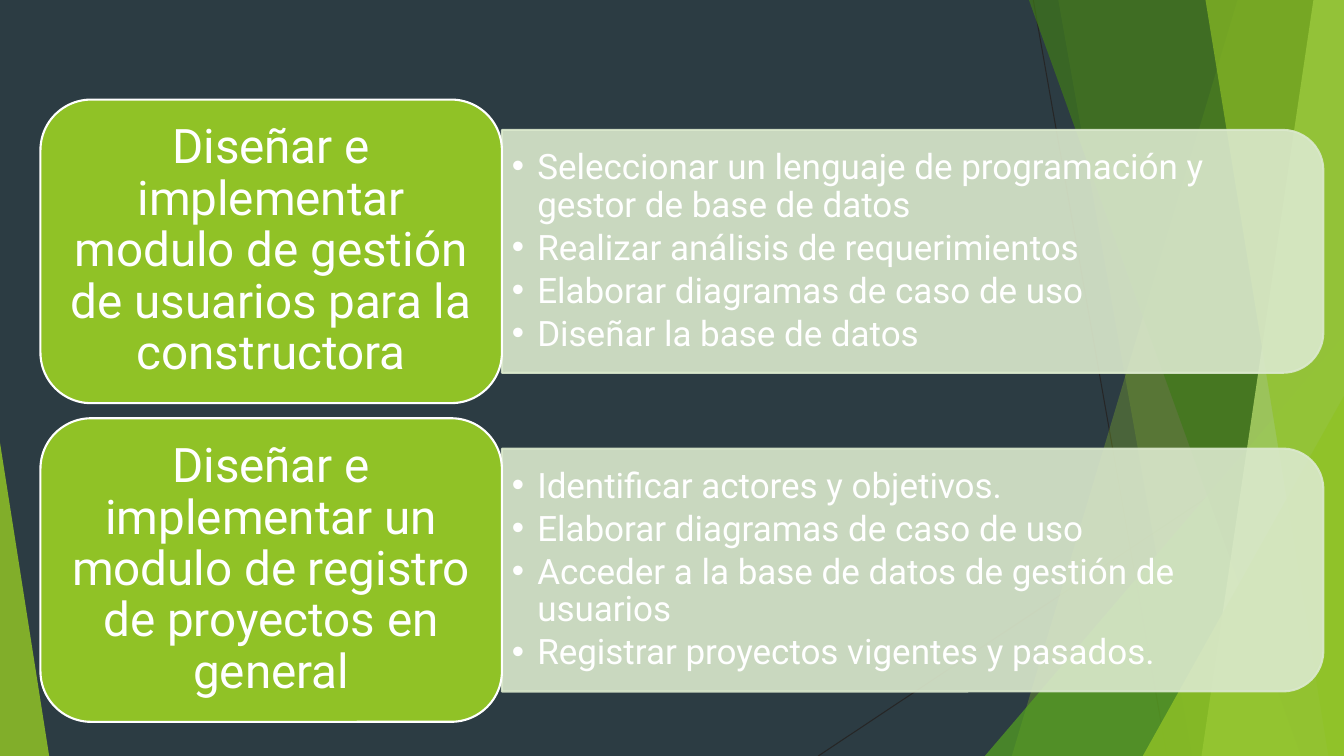
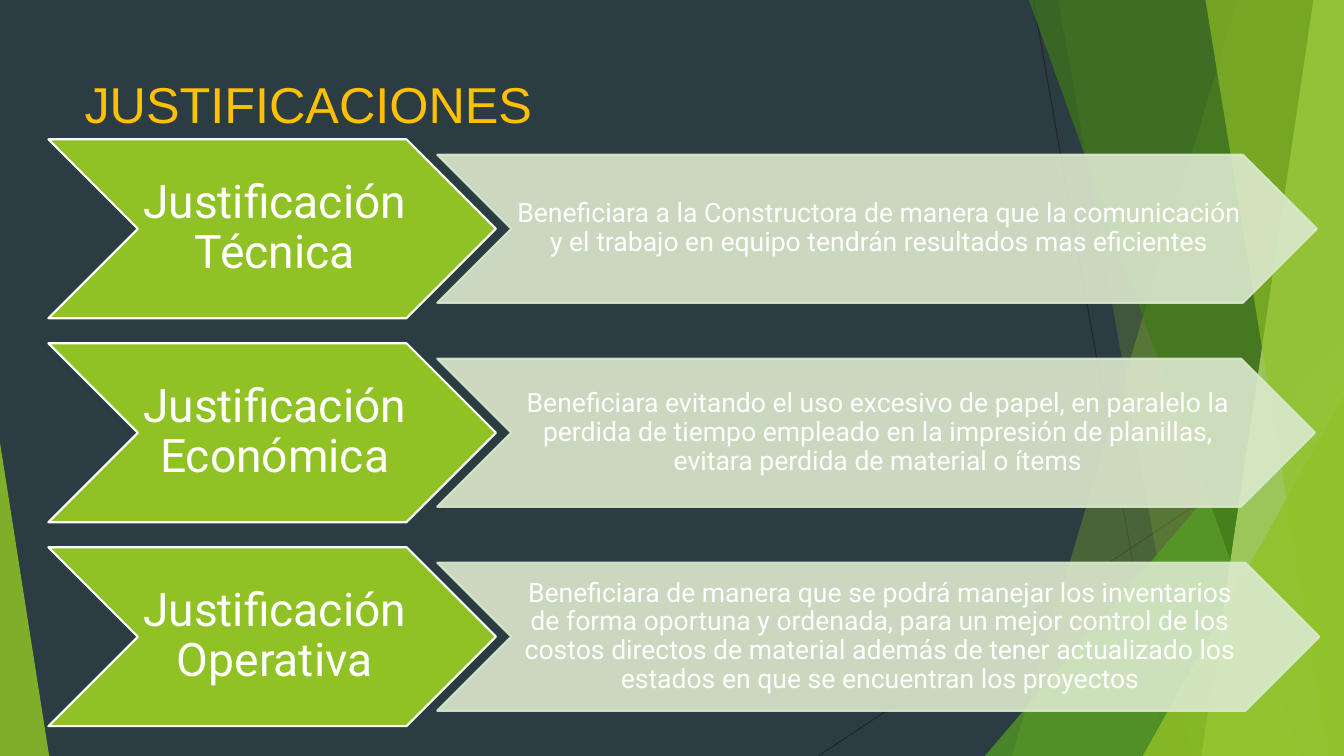
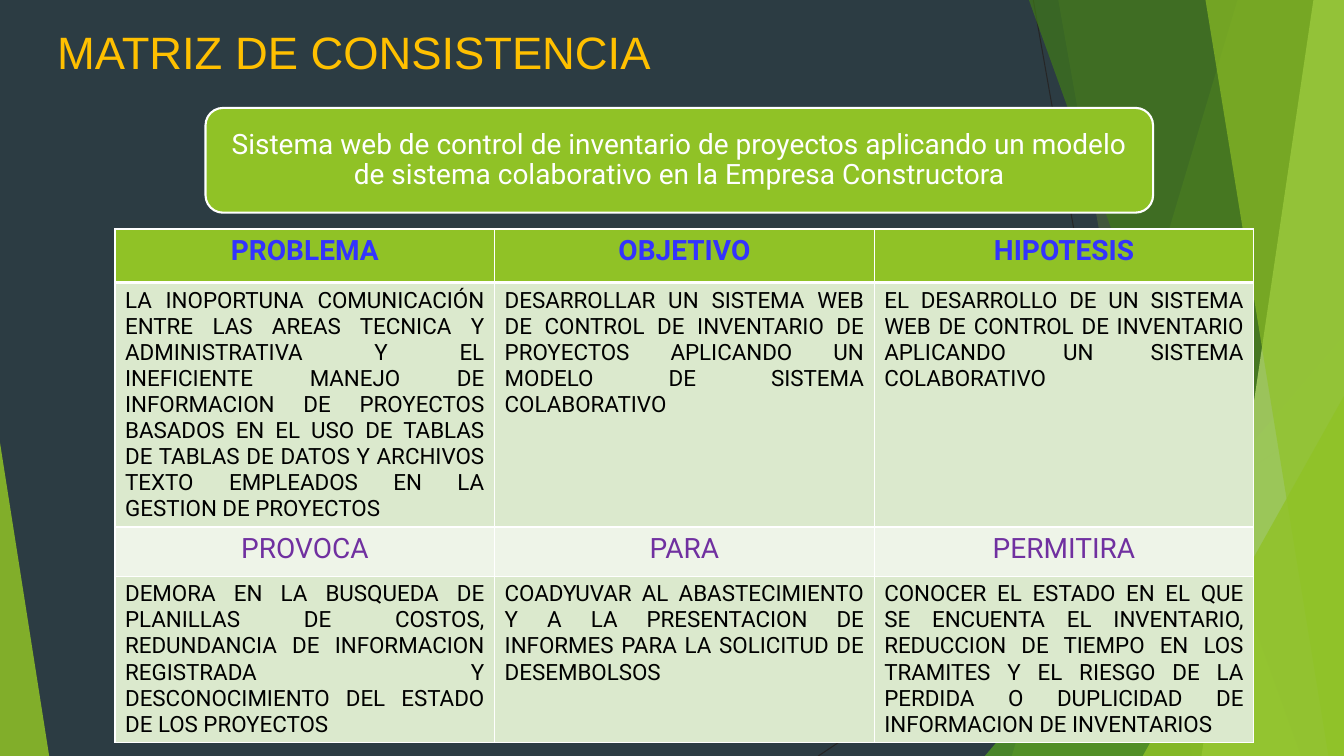
from pptx import Presentation
from pptx.dml.color import RGBColor
from pptx.enum.shapes import MSO_CONNECTOR, MSO_SHAPE
from pptx.enum.text import MSO_ANCHOR, MSO_AUTO_SIZE, PP_ALIGN
from pptx.oxml.ns import qn
from pptx.util import Cm, Pt
from lxml import etree

STRAIGHT = MSO_CONNECTOR.STRAIGHT
ROUNDED = MSO_SHAPE.ROUNDED_RECTANGLE
ROUND_TOP = MSO_SHAPE.ROUND_2_SAME_RECTANGLE
CHEVRON = MSO_SHAPE.CHEVRON
TRIANGLE = MSO_SHAPE.ISOSCELES_TRIANGLE
LEFT, CENTER, JUSTIFY = PP_ALIGN.LEFT, PP_ALIGN.CENTER, PP_ALIGN.JUSTIFY
TOP, MIDDLE = MSO_ANCHOR.TOP, MSO_ANCHOR.MIDDLE
NO_AUTOFIT = MSO_AUTO_SIZE.NONE

SLATE = RGBColor(0x2C, 0x3C, 0x43)
CHARCOAL = RGBColor(0x26, 0x26, 0x26)
GREEN = RGBColor(0x90, 0xC2, 0x26)
LEAF = RGBColor(0x54, 0xA0, 0x21)
FOREST = RGBColor(0x3F, 0x78, 0x19)
LIME = RGBColor(0xC0, 0xE4, 0x74)
PALE = RGBColor(0xDB, 0xE9, 0xCD)
MIST = RGBColor(0xEE, 0xF4, 0xE8)
WHITE = RGBColor(0xFF, 0xFF, 0xFF)
BLACK = RGBColor(0, 0, 0)
AMBER = RGBColor(0xFF, 0xC0, 0)
BLUE = RGBColor(0x33, 0x33, 0xFF)
PURPLE = RGBColor(0x70, 0x30, 0xA0)

SLIDE_WIDTH, SLIDE_HEIGHT = 33.87, 19.05
TITLE_FONT, BODY_FONT = "Arial", "Roboto"
LAYOUT_TWO_CONTENT, LAYOUT_TITLE_ONLY = 3, 5

OBJECTIVES = [
    ("Diseñar e implementar modulo de gestión de usuarios para la constructora",
     ["Seleccionar un lenguaje de programación y gestor de base de datos",
      "Realizar análisis de requerimientos",
      "Elaborar diagramas de caso de uso",
      "Diseñar la base de datos"]),
    ("Diseñar e implementar un modulo de registro de proyectos en general",
     ["Identificar actores y objetivos.",
      "Elaborar diagramas de caso de uso",
      "Acceder a la base de datos de gestión de usuarios",
      "Registrar proyectos vigentes y pasados."]),
]
JUSTIFICATIONS = [
    ("Justificación Técnica", 22.17,
     "Beneficiara a la Constructora de manera que la comunicación y el trabajo en equipo "
     "tendrán resultados mas eficientes"),
    ("Justificación Económica", 22.12,
     "Beneficiara evitando el uso excesivo de papel, en paralelo la perdida de tiempo "
     "empleado en la impresión de planillas, evitara perdida de material o ítems"),
    ("Justificación Operativa", 22.23,
     "Beneficiara de manera que se podrá manejar los inventarios de forma oportuna y "
     "ordenada, para un mejor control de los costos directos de material además de tener "
     "actualizado los estados en que se encuentran los proyectos"),
]
SYSTEM_NAME = ("Sistema web de control de inventario de proyectos aplicando un modelo "
               "de sistema colaborativo en la Empresa Constructora")
MATRIX = [
    ["PROBLEMA", "OBJETIVO", "HIPOTESIS"],
    ["LA INOPORTUNA COMUNICACIÓN ENTRE LAS AREAS TECNICA Y ADMINISTRATIVA Y EL "
     "INEFICIENTE MANEJO DE INFORMACION DE PROYECTOS BASADOS EN EL USO DE TABLAS DE "
     "TABLAS DE DATOS Y ARCHIVOS TEXTO EMPLEADOS EN LA GESTION DE PROYECTOS",
     "DESARROLLAR UN SISTEMA WEB DE CONTROL DE INVENTARIO DE PROYECTOS APLICANDO UN "
     "MODELO DE SISTEMA COLABORATIVO",
     "EL DESARROLLO DE UN SISTEMA WEB DE CONTROL DE INVENTARIO APLICANDO UN SISTEMA "
     "COLABORATIVO"],
    ["PROVOCA", "PARA", "PERMITIRA"],
    ["DEMORA EN LA BUSQUEDA DE PLANILLAS DE COSTOS, REDUNDANCIA DE INFORMACION "
     "REGISTRADA Y DESCONOCIMIENTO DEL ESTADO DE LOS PROYECTOS",
     "COADYUVAR AL ABASTECIMIENTO Y A LA PRESENTACION DE INFORMES PARA LA SOLICITUD DE "
     "DESEMBOLSOS",
     "CONOCER EL ESTADO EN EL QUE SE ENCUENTA EL INVENTARIO, REDUCCION DE TIEMPO EN LOS "
     "TRAMITES Y EL RIESGO DE LA PERDIDA O DUPLICIDAD DE INFORMACION DE INVENTARIOS"],
]
MATRIX_ROWS = [
    (1.35, GREEN, 20, BLUE, True, CENTER),
    (6.15, PALE, 16, BLACK, False, JUSTIFY),
    (1.24, MIST, 20, PURPLE, False, CENTER),
    (4.19, PALE, 16, BLACK, False, JUSTIFY),
]


def lengths(*values):
    return [Cm(value) for value in values]


def paint(shape, fill, opacity=100, line=None):
    shape.shadow.inherit = False
    shape.fill.solid()
    shape.fill.fore_color.rgb = fill
    if line is None:
        shape.line.fill.background()
    else:
        shape.line.color.rgb = line
        shape.line.width = Pt(1.5)
    if opacity < 100:
        for color in shape._element.spPr.iter(qn("a:srgbClr")):
            etree.SubElement(color, qn("a:alpha")).set("val", str(opacity * 1000))


def write(paragraph, text, size, color, align, font=BODY_FONT, bold=False):
    paragraph.alignment = align
    run = paragraph.add_run()
    run.text = text
    run.font.name = font
    run.font.size = Pt(size)
    run.font.bold = bold
    run.font.color.rgb = color


def prepare_frame(frame, anchor, insets):
    frame.word_wrap = True
    frame.auto_size = NO_AUTOFIT
    frame.vertical_anchor = anchor
    (frame.margin_left, frame.margin_top,
     frame.margin_right, frame.margin_bottom) = lengths(*insets)


def place(shape, box):
    shape.left, shape.top, shape.width, shape.height = lengths(*box)


def add_label(slide, kind, box, text, size, insets, fill=GREEN, line=WHITE, opacity=100):
    label = slide.shapes.add_shape(kind, *lengths(*box))
    paint(label, fill, opacity, line)
    prepare_frame(label.text_frame, MIDDLE, insets)
    paragraph = label.text_frame.paragraphs[0]
    paragraph.line_spacing = 0.9
    write(paragraph, text, size, WHITE, CENTER)


def set_title(slide, box, text, size):
    title = slide.shapes.title
    place(title, box)
    prepare_frame(title.text_frame, TOP, (0.25, 0.13, 0.25, 0.13))
    write(title.text_frame.paragraphs[0], text, size, AMBER, LEFT, TITLE_FONT)


def add_facet_line(shapes, start, end):
    line = shapes.add_connector(STRAIGHT, *lengths(*start, *end))
    line.line.color.rgb = CHARCOAL
    line.line.width = Pt(0.75)
    etree.SubElement(line._element.spPr, qn("a:effectLst"))


def add_facet_band(shapes, top_x, bottom_x, color, opacity):
    builder = shapes.build_freeform(Cm(top_x), 0)
    corners = [(SLIDE_WIDTH, 0), (SLIDE_WIDTH, SLIDE_HEIGHT), (bottom_x, SLIDE_HEIGHT)]
    builder.add_line_segments([lengths(*corner) for corner in corners], close=True)
    paint(builder.convert_to_shape(), color, opacity)


def add_facet_triangle(shapes, left, top, width, apex, color, opacity):
    triangle = shapes.add_shape(TRIANGLE, *lengths(left, top, width, SLIDE_HEIGHT - top))
    triangle.adjustments[0] = apex
    paint(triangle, color, opacity)


def decorate_master(master, slide):
    master.background.fill.solid()
    master.background.fill.fore_color.rgb = SLATE
    group = slide.shapes.add_group_shape()
    shapes = group.shapes
    add_facet_line(shapes, (26.04, 0), (29.41, SLIDE_HEIGHT))
    add_facet_line(shapes, (SLIDE_WIDTH, 10.24), (20.62, SLIDE_HEIGHT))
    add_facet_band(shapes, 31.19, 25.5, GREEN, 30)
    add_facet_band(shapes, 26.67, 30.05, GREEN, 20)
    add_facet_triangle(shapes, 24.82, 8.46, SLIDE_WIDTH - 24.82, 1, LEAF, 72)
    add_facet_band(shapes, 25.93, 32.79, FOREST, 70)
    add_facet_band(shapes, 33.1, 30.28, LIME, 70)
    add_facet_band(shapes, 30.38, 33.48, GREEN, 65)
    add_facet_triangle(shapes, 28.8, 9.98, SLIDE_WIDTH - 28.8, 1, GREEN, 80)
    add_facet_triangle(shapes, 0, 11.15, 1.24, 0, GREEN, 85)
    for number, properties in enumerate(group._element.iter(qn("p:cNvPr")), 100):
        properties.set("id", str(number))
    master.shapes._spTree.insert(2, group._element)


def fill_list(placeholder, box, items):
    place(placeholder, box)
    frame = placeholder.text_frame
    prepare_frame(frame, MIDDLE, (0.25, 0.13, 0.25, 0.13))
    for index, item in enumerate(items):
        paragraph = frame.add_paragraph() if index else frame.paragraphs[0]
        paragraph.line_spacing = 0.9
        paragraph.space_before = Pt(0)
        paragraph.space_after = Pt(3.75)
        write(paragraph, item, 25, WHITE, LEFT)
        properties = paragraph._p.get_or_add_pPr()
        properties.set("marL", str(Cm(0.64)))
        properties.set("indent", str(-Cm(0.64)))
        etree.SubElement(properties, qn("a:buChar")).set("char", "•")


def add_objective(slide, placeholder, box, goal, tasks):
    left, top, width, height = box
    label_width = 11.63
    panel_left, panel_top = left + label_width, top + height * 0.1
    panel_width, panel_height = width - label_width, height * 0.8
    panel = slide.shapes.add_shape(ROUND_TOP, *lengths(
        panel_left + (panel_width - panel_height) / 2,
        panel_top + (panel_height - panel_width) / 2,
        panel_height, panel_width))
    panel.rotation = 90
    paint(panel, PALE, 90, PALE)
    slide.shapes._spTree.append(placeholder._element)
    fill_list(placeholder, (panel_left, panel_top + 0.3,
                            panel_width - 0.3, panel_height - 0.6), tasks)
    add_label(slide, ROUNDED, (left, top, label_width, height), goal, 34,
              (0.36, 0.18, 0.36, 0.18))


def build_objectives(slide):
    title = slide.shapes.title._element
    title.getparent().remove(title)
    placeholders = list(slide.placeholders)
    for row, (goal, tasks) in enumerate(OBJECTIVES):
        box = (1.02, 2.51 + row * 8.03, 32.33, 7.65)
        add_objective(slide, placeholders[row], box, goal, tasks)


def add_justification(slide, left, top, heading, detail_width, detail):
    height, detail_height = 4.51, 3.73
    add_label(slide, CHEVRON, (left, top, 11.28, height), heading, 33,
              (0.13, 0.05, 0, 0.05))
    detail_box = (left + 9.8, top + (height - detail_height) / 2,
                  detail_width, detail_height)
    add_label(slide, CHEVRON, detail_box, detail, 19, (0.08, 0.03, 0, 0.03),
              PALE, PALE, 90)


def build_justifications(slide):
    set_title(slide, (1.88, 1.7, 23.88, 3.66), "JUSTIFICACIONES", 36)
    for row, justification in enumerate(JUSTIFICATIONS):
        add_justification(slide, 1.22, 3.51 + row * 5.14, *justification)


def add_borders(cell, bottom_width, top_width):
    properties = cell._tc.get_or_add_tcPr()
    widths = {"a:lnL": 1, "a:lnR": 1, "a:lnT": top_width, "a:lnB": bottom_width}
    for side, width in widths.items():
        border = etree.SubElement(properties, qn(side))
        border.set("w", str(Pt(width)))
        fill = etree.SubElement(border, qn("a:solidFill"))
        etree.SubElement(fill, qn("a:srgbClr")).set("val", str(WHITE))


def add_matrix(slide, left, top, width):
    height = sum(row[0] for row in MATRIX_ROWS)
    table = slide.shapes.add_table(len(MATRIX), len(MATRIX[0]),
                                   *lengths(left, top, width, height)).table
    table.horz_banding = False
    for column in table.columns:
        column.width = Cm(width / len(MATRIX[0]))
    for index, (texts, style) in enumerate(zip(MATRIX, MATRIX_ROWS)):
        row_height, fill, size, color, bold, align = style
        table.rows[index].height = Cm(row_height)
        for cell, text in zip(table.rows[index].cells, texts):
            add_borders(cell, 3 if index == 0 else 1, 3 if index == 1 else 1)
            cell.fill.solid()
            cell.fill.fore_color.rgb = fill
            write(cell.text_frame.paragraphs[0], text, size, color, align, bold=bold)


def build_matrix(slide):
    set_title(slide, (1.19, 0.48, 23.88, 1.7), "MATRIZ DE CONSISTENCIA", 32.4)
    add_label(slide, ROUNDED, (5.18, 2.72, 23.88, 2.64), SYSTEM_NAME, 20,
              (0.2, 0.2, 0.2, 0.2))
    add_matrix(slide, 2.9, 5.77, 28.7)


def main():
    presentation = Presentation()
    presentation.slide_width, presentation.slide_height = lengths(SLIDE_WIDTH, SLIDE_HEIGHT)
    pages = [(LAYOUT_TWO_CONTENT, build_objectives),
             (LAYOUT_TITLE_ONLY, build_justifications),
             (LAYOUT_TITLE_ONLY, build_matrix)]
    for layout, build in pages:
        build(presentation.slides.add_slide(presentation.slide_layouts[layout]))
    decorate_master(presentation.slide_master, presentation.slides[0])
    presentation.save("out.pptx")


if __name__ == "__main__":
    main()
